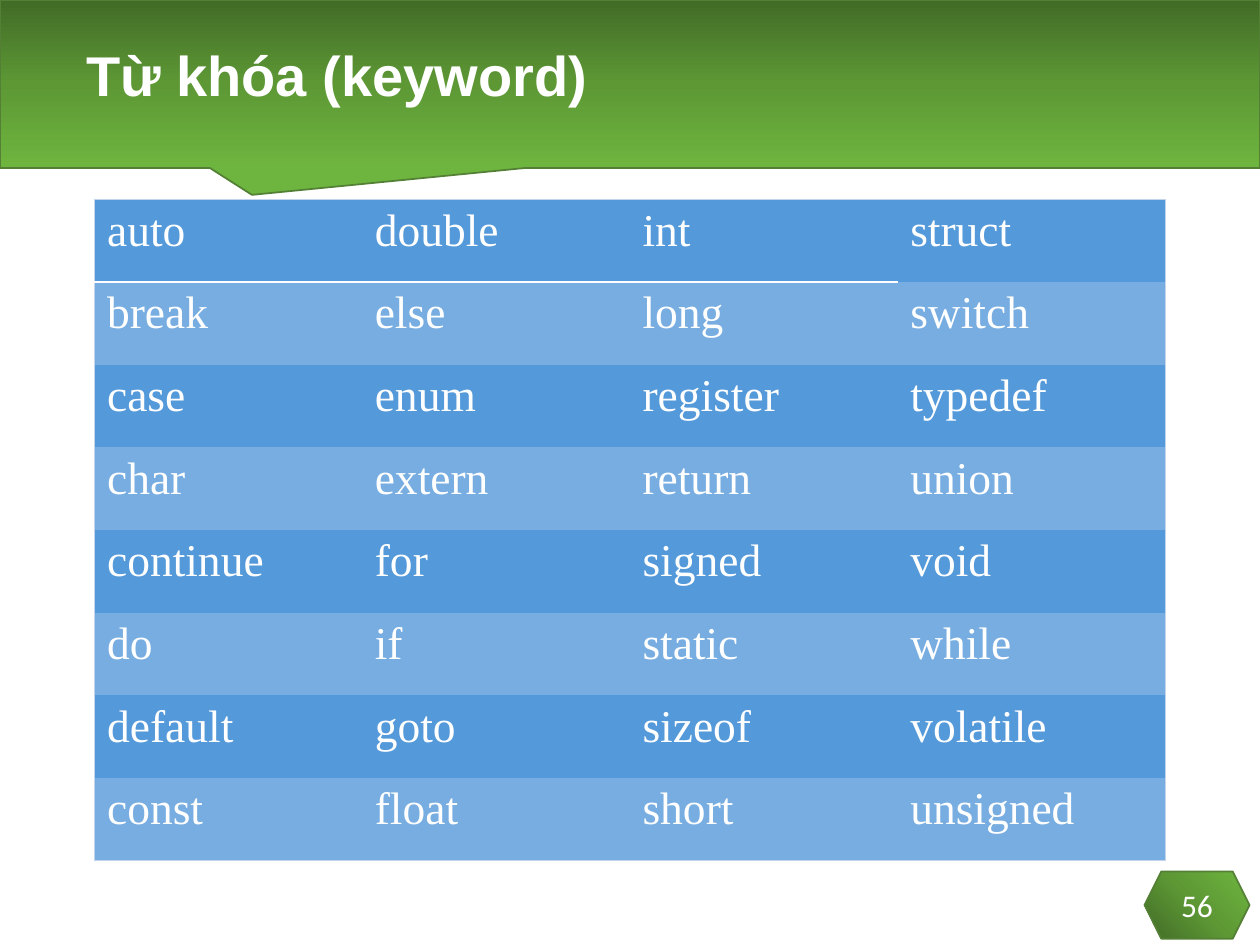
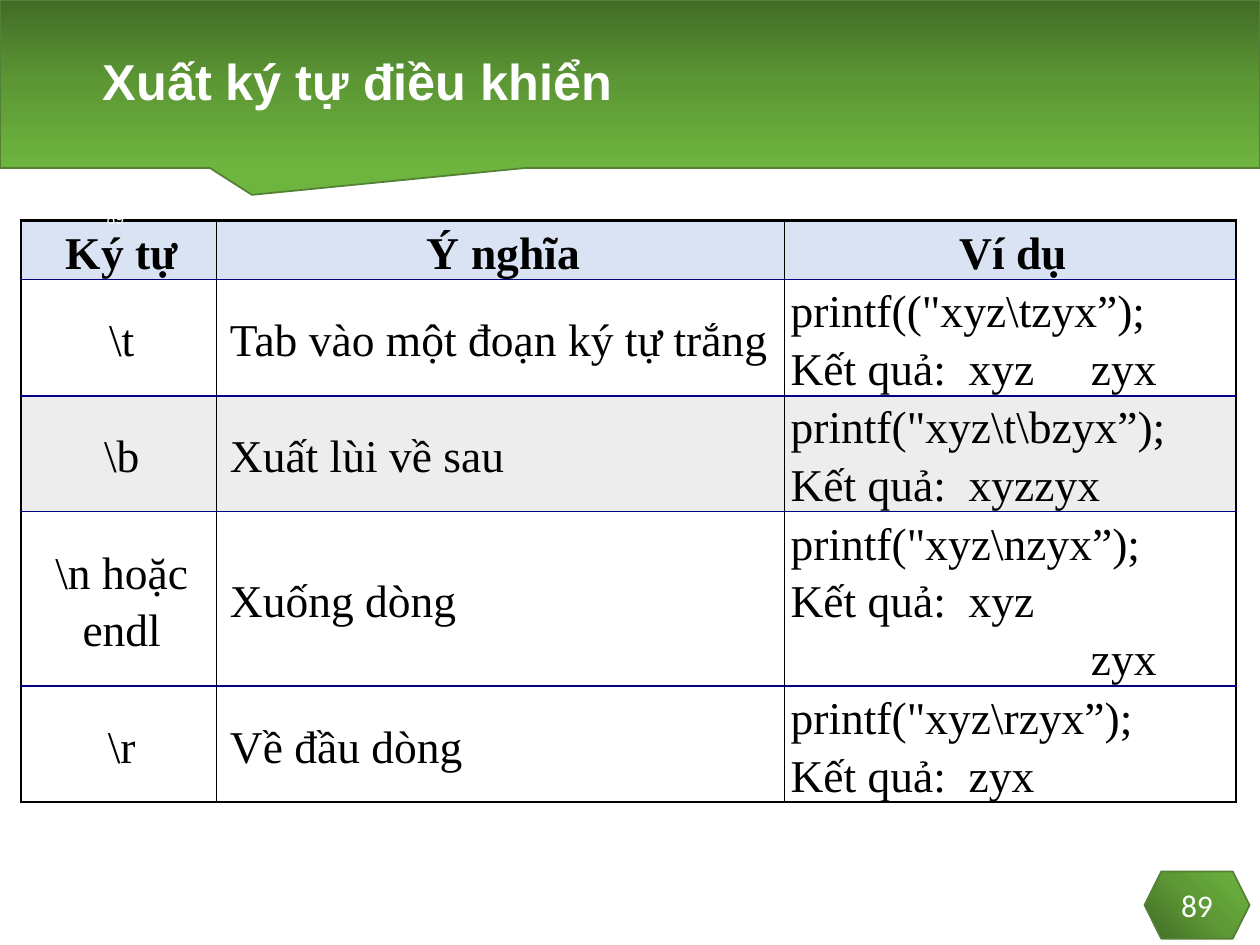
from lxml.etree import SubElement
from pptx import Presentation
from pptx.dml.color import RGBColor
from pptx.enum.shapes import MSO_SHAPE
from pptx.enum.text import MSO_ANCHOR, MSO_AUTO_SIZE, PP_ALIGN
from pptx.oxml import parse_xml
from pptx.oxml.ns import nsdecls, qn
from pptx.util import Pt

WHITE = RGBColor(0xFF, 0xFF, 0xFF)
BLACK = RGBColor(0x00, 0x00, 0x00)
NAVY = RGBColor(0x00, 0x00, 0x80)
GREEN_LINE = RGBColor(0x53, 0x80, 0x35)
GREENS = [(0, RGBColor(0x41, 0x6B, 0x26)), (50, RGBColor(0x5D, 0x98, 0x35)),
          (100, RGBColor(0x6E, 0xB5, 0x3F))]
BLUE = RGBColor(0x54, 0x99, 0xDA)
LIGHT_BLUE = RGBColor(0x77, 0xAD, 0xE1)
PALE_BLUE = RGBColor(0xC4, 0xD5, 0xEB)
HEADER_BLUE = RGBColor(0xDA, 0xE3, 0xF3)
GREY = RGBColor(0xED, 0xED, 0xED)
SERIF = "Times New Roman"
NO_GRID_STYLE = "{2D5ABB26-0587-4C30-8999-92F81FD0307C}"

prs = Presentation()
prs.slide_width, prs.slide_height = 9144000, 6858000
U = prs.slide_width // 120  # the slide is a grid of 120 columns and 90 rows


def write(tf, text, size=26, font=SERIF, color=BLACK, bold=False,
          align=PP_ALIGN.LEFT, spacing=1.0, indent=0, tab=0):
    """Fill a text frame, one paragraph per line; indent and tab are in grid units."""
    for i, line in enumerate(text.splitlines()):
        p = tf.paragraphs[0] if i == 0 else tf.add_paragraph()
        p.alignment, p.line_spacing = align, spacing
        pPr = p._p.get_or_add_pPr()
        pPr.set("marL", str(int(indent * U)))
        if tab:
            stops = SubElement(pPr, qn("a:tabLst"))
            SubElement(stops, qn("a:tab"), pos=str(int(tab * U)), algn="l")
        r = p.add_run()
        r.text = line
        r.font.size, r.font.name, r.font.bold = Pt(size), font, bold
        r.font.color.rgb = color


def border(cell, **sides):
    """Draw the sides L, R, T, B, given in that order as (colour, points) or None."""
    tcPr = cell._tc.get_or_add_tcPr()
    for side, line in sides.items():
        if line:
            color, width = line
            ln = SubElement(tcPr, qn(f"a:ln{side}"), w=str(Pt(width)))
            SubElement(SubElement(ln, qn("a:solidFill")), qn("a:srgbClr"), val=str(color))


# Parts that both slides share
STOPS = "".join(f'<a:gs pos="{pos * 1000}"><a:srgbClr val="{color}"/></a:gs>'
                for pos, color in GREENS)
DOWN = '<a:lin ang="5400000" scaled="0"/>'
FROM_CORNER = '<a:path path="circle"><a:fillToRect t="100000" r="100000"/></a:path>'
PAGES = [("Từ khóa (keyword)", 32, (7, 1, 106, 13), "56"),
         ("Xuất ký tự điều khiển", 28.8, (8.6, 5, 85.5, 6), "89")]

for heading, size, place, number in PAGES:
    s = prs.slides.add_slide(prs.slide_layouts[5])
    band = s.shapes.add_shape(MSO_SHAPE.RECTANGULAR_CALLOUT, 0, 0, prs.slide_width, 16 * U)
    band.adjustments[0], band.adjustments[1] = -0.3, 0.66
    badge = s.shapes.add_shape(MSO_SHAPE.HEXAGON, 109 * U, 83 * U, 10 * U, int(6.4 * U))
    for sp, direction in ((band, DOWN), (badge, FROM_CORNER)):
        sp.shadow.inherit = False
        sp.line.color.rgb, sp.line.width = GREEN_LINE, Pt(1)
        sp.fill.background()
        spPr = sp._element.spPr
        spPr.replace(spPr.find(qn("a:noFill")), parse_xml(
            f'<a:gradFill {nsdecls("a")} rotWithShape="1">'
            f'<a:gsLst>{STOPS}</a:gsLst>{direction}</a:gradFill>'))
    tf = badge.text_frame
    tf.margin_left = tf.margin_right = tf.margin_top = tf.margin_bottom = 0
    tf.vertical_anchor = MSO_ANCHOR.MIDDLE
    write(tf, number, size=18, font="Calibri", color=WHITE, align=PP_ALIGN.CENTER)

    title = s.shapes.title
    s.shapes._spTree.append(title._element)  # in front of the band
    title.left, title.top, title.width, title.height = [int(n * U) for n in place]
    tf = title.text_frame
    tf.auto_size, tf.vertical_anchor = MSO_AUTO_SIZE.NONE, MSO_ANCHOR.MIDDLE
    write(tf, heading, size=size, font="Arial", color=WHITE, bold=True, spacing=0.9)

keyword_slide, control_slide = prs.slides

# Keywords
KEYWORDS = [
    ("auto", "double", "int", "struct"),
    ("break", "else", "long", "switch"),
    ("case", "enum", "register", "typedef"),
    ("char", "extern", "return", "union"),
    ("continue", "for", "signed", "void"),
    ("do", "if", "static", "while"),
    ("default", "goto", "sizeof", "volatile"),
    ("const", "float", "short", "unsigned"),
]
last_row, last_col = len(KEYWORDS) - 1, len(KEYWORDS[0]) - 1
frame = keyword_slide.shapes.add_table(8, 4, 9 * U, 19 * U, 102 * U, 63 * U)
table = frame.table
table._tbl.tblPr.find(qn("a:tableStyleId")).text = NO_GRID_STYLE
table.first_row = table.horz_banding = False
edge = (PALE_BLUE, 0.5)
for i, words in enumerate(KEYWORDS):
    for j, word in enumerate(words):
        cell = table.cell(i, j)
        write(cell.text_frame, word, color=WHITE)
        rule = (WHITE, 1.5) if i == 0 and j < last_col else None
        border(cell, L=edge if j == 0 else None, R=edge if j == last_col else None,
               T=edge if i == 0 else None, B=edge if i == last_row else rule)
        cell.fill.solid()
        cell.fill.fore_color.rgb = LIGHT_BLUE if i % 2 else BLUE

# Control characters
CONTROLS = [
    ("Ký tự", "Ý nghĩa", "Ví dụ"),
    (r"\t", "Tab vào một đoạn ký tự trắng",
     r'printf(("xyz\tzyx”);' "\nKết quả:  xyz\tzyx"),
    (r"\b", "Xuất lùi về sau",
     r'printf("xyz\t\bzyx”);' "\nKết quả:  xyzzyx"),
    (r"\n hoặc endl", "Xuống dòng",
     r'printf("xyz\nzyx”);' "\nKết quả:  xyz\n\tzyx"),
    (r"\r", "Về đầu dòng",
     r'printf("xyz\rzyx”);' "\nKết quả:  zyx"),
]
COLUMNS = [18.6, 54.1, 43]
ROWS = [5.6, 11.1, 11, 16.6, 11]
FILLS = [HEADER_BLUE, None, GREY, None, None]
last_row, last_col = len(ROWS) - 1, len(COLUMNS) - 1
frame = control_slide.shapes.add_table(len(ROWS), len(COLUMNS), 2 * U, 21 * U,
                                       int(sum(COLUMNS) * U), int(sum(ROWS) * U))
table = frame.table
table._tbl.tblPr.find(qn("a:tableStyleId")).text = NO_GRID_STYLE
table.first_row = table.horz_banding = False
for column, width in zip(table.columns, COLUMNS):
    column.width = int(width * U)
outer, upright, level = (BLACK, 1.5), (BLACK, 1), (NAVY, 1)
for i, (texts, height, color) in enumerate(zip(CONTROLS, ROWS, FILLS)):
    table.rows[i].height = int(height * U)
    for j, text in enumerate(texts):
        cell = table.cell(i, j)
        cell.vertical_anchor = MSO_ANCHOR.MIDDLE
        cell.margin_left = cell.margin_right = 0 if j == last_col else int(0.7 * U)
        cell.margin_top = cell.margin_bottom = 0
        centred = i == 0 or j == 0
        write(cell.text_frame, text, bold=i == 0, spacing=1.15, indent=0.6,
              align=PP_ALIGN.CENTER if centred else PP_ALIGN.LEFT,
              tab=28.6 if "\t" in text else 0)
        border(cell, L=outer if j == 0 else upright, R=outer if j == last_col else upright,
               T=outer if i == 0 else level, B=outer if i == last_row else level)
        if color:
            cell.fill.solid()
            cell.fill.fore_color.rgb = color

small_number = control_slide.shapes.add_textbox(
    *[int(n * U) for n in (5.3, 19, 7.7, 3.6)])
tf = small_number.text_frame
tf.word_wrap, tf.vertical_anchor = True, MSO_ANCHOR.MIDDLE
write(tf, "89", size=9, font="Arial", color=WHITE, align=PP_ALIGN.RIGHT)

prs.save("out.pptx")
